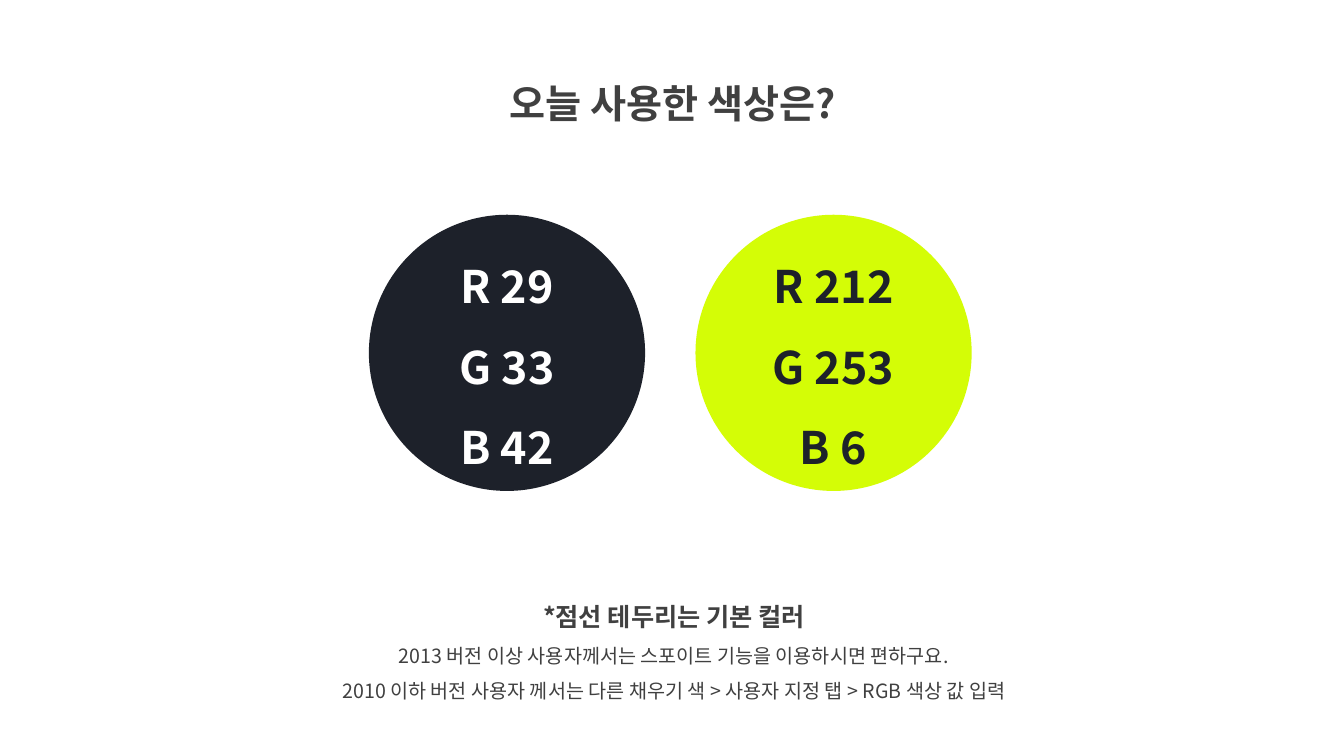
from dataclasses import dataclass

from lxml.etree import SubElement
from pptx import Presentation
from pptx.dml.color import RGBColor as RGB
from pptx.enum.shapes import MSO_SHAPE as Shape
from pptx.enum.text import MSO_ANCHOR as Anchor, MSO_AUTO_SIZE as AutoSize, PP_ALIGN as Align
from pptx.oxml.ns import qn
from pptx.util import Pt


@dataclass(frozen=True)
class Theme:
    font: str = "Noto Sans CJK KR"
    navy: RGB = RGB(29, 33, 42)
    lime: RGB = RGB(212, 253, 6)
    white: RGB = RGB(255, 255, 255)
    gray: RGB = RGB(64, 64, 64)
    title: int = 28
    value: int = 32
    note_head: int = 18
    note: int = 14
    line_spacing: float = 1.5


class SlideBuilder:
    def __init__(self, slide, theme):
        self.slide = slide
        self.theme = theme

    def set_lines(self, frame, lines, color):
        """Fill a frame with centred lines of (text, size, bold)."""
        frame.word_wrap = True
        for index, (text, size, bold) in enumerate(lines):
            line = frame.add_paragraph() if index else frame.paragraphs[0]
            line.text = text
            line.alignment = Align.CENTER
            line.line_spacing = self.theme.line_spacing
            line.font.size = Pt(size)
            line.font.bold = bold
            line.font.color.rgb = color
            line.font.name = self.theme.font
            # Korean glyphs take the East Asian typeface
            SubElement(line._p.pPr.defRPr, qn("a:ea"), typeface=self.theme.font)

    def text(self, left, top, width, height, lines):
        box = self.slide.shapes.add_textbox(Pt(left), Pt(top), Pt(width), Pt(height))
        self.set_lines(box.text_frame, lines, self.theme.gray)
        box.text_frame.auto_size = AutoSize.SHAPE_TO_FIT_TEXT

    def swatch(self, left, top, size, fill, ink):
        circle = self.slide.shapes.add_shape(Shape.OVAL, Pt(left), Pt(top), Pt(size), Pt(size))
        circle.shadow.inherit = False
        circle.fill.solid()
        circle.fill.fore_color.rgb = fill
        circle.line.fill.background()
        circle.text_frame.vertical_anchor = Anchor.MIDDLE
        channels = [(f"{name} {level}", self.theme.value, True) for name, level in zip("RGB", fill)]
        self.set_lines(circle.text_frame, channels, ink)


def main():
    deck = Presentation()
    deck.slide_width, deck.slide_height = Pt(960), Pt(540)
    theme = Theme()
    builder = SlideBuilder(deck.slides.add_slide(deck.slide_layouts[6]), theme)

    # Title
    builder.text(313.9, 36, 333.4, 51.8, [("오늘 사용한 색상은?", theme.title, True)])

    # Notes on picking the colours
    builder.text(193.7, 415.4, 575.3, 90.7, [
        ("*점선 테두리는 기본 컬러", theme.note_head, True),
        ("2013 버전 이상 사용자께서는 스포이트 기능을 이용하시면 편하구요.", theme.note, False),
        ("2010 이하 버전 사용자 께서는 다른 채우기 색 > 사용자 지정 탭 > RGB 색상 값 입력", theme.note, False),
    ])

    # Colour swatches, labelled with their own channel values
    swatch_left, swatch_top, swatch_size, swatch_gap = 263.5, 153.4, 197.3, 36
    palette = [(theme.navy, theme.white), (theme.lime, theme.navy)]
    for column, (fill, ink) in enumerate(palette):
        left = swatch_left + column * (swatch_size + swatch_gap)
        builder.swatch(left, swatch_top, swatch_size, fill, ink)

    deck.save("out.pptx")


if __name__ == "__main__":
    main()
